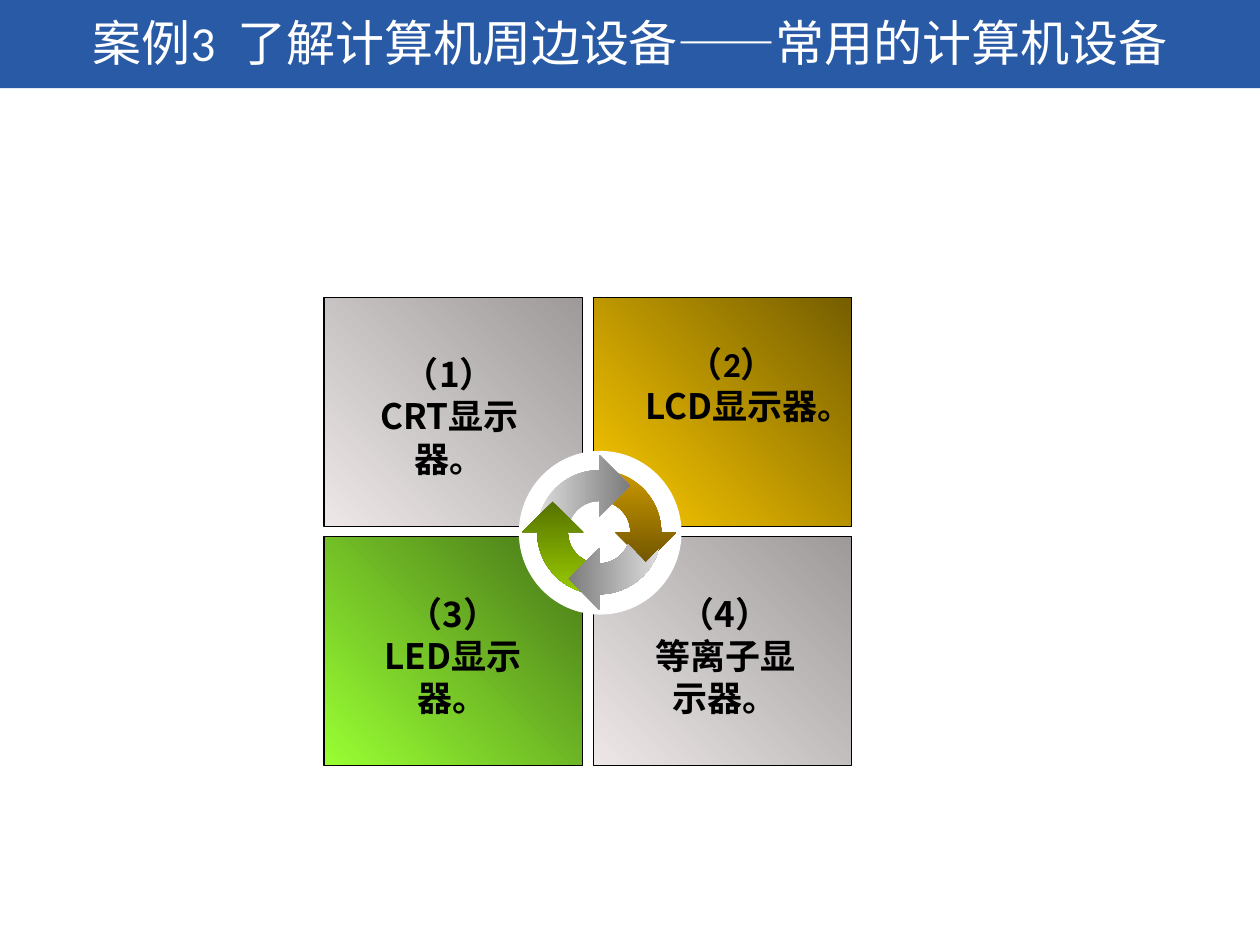
import math

import pptx
import pptx.dml.color
import pptx.enum.shapes
import pptx.enum.text
import pptx.oxml
import pptx.oxml.ns
import pptx.util

Cm = pptx.util.Cm
RECTANGLE = pptx.enum.shapes.MSO_SHAPE.RECTANGLE
OVAL = pptx.enum.shapes.MSO_SHAPE.OVAL
NOTO, CALIBRI = "Noto Sans CJK SC", "Calibri"
COLORS = {
    "banner": "295AA6", "white": "FFFFFF", "black": "000000",
    "silver": "EDE8E7", "silver_dark": "9D9A99",
    "gold": "FFCC00", "gold_dark": "765E00",
    "lime": "99FF33", "lime_dark": "477618",
    "amber_arrow": "CC9900", "amber_arrow_dark": "725600",
    "grey_arrow": "DDDDDD", "grey_arrow_dark": "7C7C7C",
    "green_arrow": "99CC00", "green_arrow_dark": "567200",
}

deck = pptx.Presentation()
deck.slide_width, deck.slide_height = Cm(25.4), Cm(19.05)
slide = deck.slides.add_slide(deck.slide_layouts[6])
shapes = slide.shapes


def paint(shape, *names, angle=0, outlined=False):
    """Fill with one colour or a two-stop gradient (angle counter-clockwise)."""
    rgb = [pptx.dml.color.RGBColor.from_string(COLORS[name]) for name in names]
    shape.shadow.inherit = False
    if len(rgb) == 1:
        shape.fill.solid()
        shape.fill.fore_color.rgb = rgb[0]
    else:
        shape.fill.gradient()
        shape.fill.gradient_angle = angle
        for stop, color in zip(shape.fill.gradient_stops, rgb):
            stop.color.rgb = color
    if outlined:
        shape.line.color.rgb = pptx.dml.color.RGBColor.from_string(COLORS["black"])
        shape.line.width = pptx.util.Pt(0.75)
    else:
        shape.line.fill.background()


def write(paragraphs, left, top, width, height, size=20, color="black", bold=True):
    """Add centred text; each paragraph is a list of (text, font) runs."""
    frame = shapes.add_textbox(Cm(left), Cm(top), Cm(width), Cm(height)).text_frame
    frame.word_wrap = True
    for index, runs in enumerate(paragraphs):
        paragraph = frame.add_paragraph() if index else frame.paragraphs[0]
        paragraph.alignment = pptx.enum.text.PP_ALIGN.CENTER
        for text, font in runs:
            run = paragraph.add_run()
            run.text = text
            run.font.name = font
            run.font.size = pptx.util.Pt(size)
            run.font.bold = bold
            run.font.color.rgb = pptx.dml.color.RGBColor.from_string(COLORS[color])
            east_asian = pptx.oxml.parse_xml(
                f'<a:ea {pptx.oxml.ns.nsdecls("a")} typeface="{NOTO}"/>')
            run.font._element.append(east_asian)


# Title banner
paint(shapes.add_shape(RECTANGLE, 0, 0, deck.slide_width, Cm(1.78)), "banner")
write([[("案例3  了解计算机周边设备", CALIBRI), ("——", NOTO), ("常用的计算机设备", CALIBRI)]],
      0, 0.13, 25.4, 1.45, size=28, color="white", bold=False)

# Four display types in a two-by-two grid
quadrants = [("silver", "silver_dark"), ("gold", "gold_dark"),
             ("lime", "lime_dark"), ("silver", "silver_dark")]
for index, gradient in enumerate(quadrants):
    row, column = divmod(index, 2)
    quadrant = shapes.add_shape(RECTANGLE, Cm(6.53 + 5.43 * column),
                                Cm(6 + 4.82 * row), Cm(5.21), Cm(4.61))
    paint(quadrant, *gradient, angle=45, outlined=True)

hub = shapes.add_shape(OVAL, Cm(10.46), Cm(9.09), Cm(3.28), Cm(3.3))
paint(hub, "white")

# Cycle arrows: clockwise quarter rings around the hub, degrees from the right
CENTER_X, CENTER_Y = 12.08, 10.73
INNER, OUTER = 0.63, 1.25
HEAD_INNER, HEAD_OUTER, HEAD_LENGTH = 0.32, 1.56, 0.62
TIP_RADIUS = math.hypot((HEAD_INNER + HEAD_OUTER) / 2, HEAD_LENGTH)
TIP_TURN = math.degrees(math.atan2(HEAD_LENGTH, (HEAD_INNER + HEAD_OUTER) / 2))
STEPS = 24
arrows = [
    (270, 360, "amber_arrow", "amber_arrow_dark", 270),
    (180, 270, "grey_arrow", "grey_arrow_dark", 0),
    (90, 180, "green_arrow_dark", "green_arrow", 270),
    (0, 90, "grey_arrow_dark", "grey_arrow", 0),
]
for start, end, first_color, last_color, angle in arrows:
    notched = start == 0  # the last arrow makes room for the first one's head
    inner_start, outer_start = (23, 16) if notched else (start, start)
    polar = [(INNER, end + (inner_start - end) * step / STEPS) for step in range(STEPS + 1)]
    if notched:
        polar.append((TIP_RADIUS, TIP_TURN))
    polar += [(OUTER, outer_start + (end - outer_start) * step / STEPS)
              for step in range(STEPS + 1)]
    polar += [(HEAD_OUTER, end), (TIP_RADIUS, end + TIP_TURN), (HEAD_INNER, end)]
    outline = [(Cm(CENTER_X + radius * math.cos(math.radians(turn))),
                Cm(CENTER_Y + radius * math.sin(math.radians(turn))))
               for radius, turn in polar]
    builder = shapes.build_freeform(*outline[0])
    builder.add_line_segments(outline[1:], close=True)
    paint(builder.convert_to_shape(), first_color, last_color, angle=angle)

# Labels
labels = [
    ([[("（1）CRT显示器。", NOTO)]], 7.32, 6.99, 3.48),
    ([[("（2）", CALIBRI)], [("LCD显示器。", NOTO)]], 12.47, 6.78, 4.57),
    ([[("（3）LED显示器。", NOTO)]], 7.39, 11.81, 3.48),
    ([[("（4）", NOTO)], [("等离子显示器。", NOTO)]], 12.88, 11.81, 3.48),
]
for paragraphs, left, top, width in labels:
    write(paragraphs, left, top, width, 2.79)

deck.save("out.pptx")
